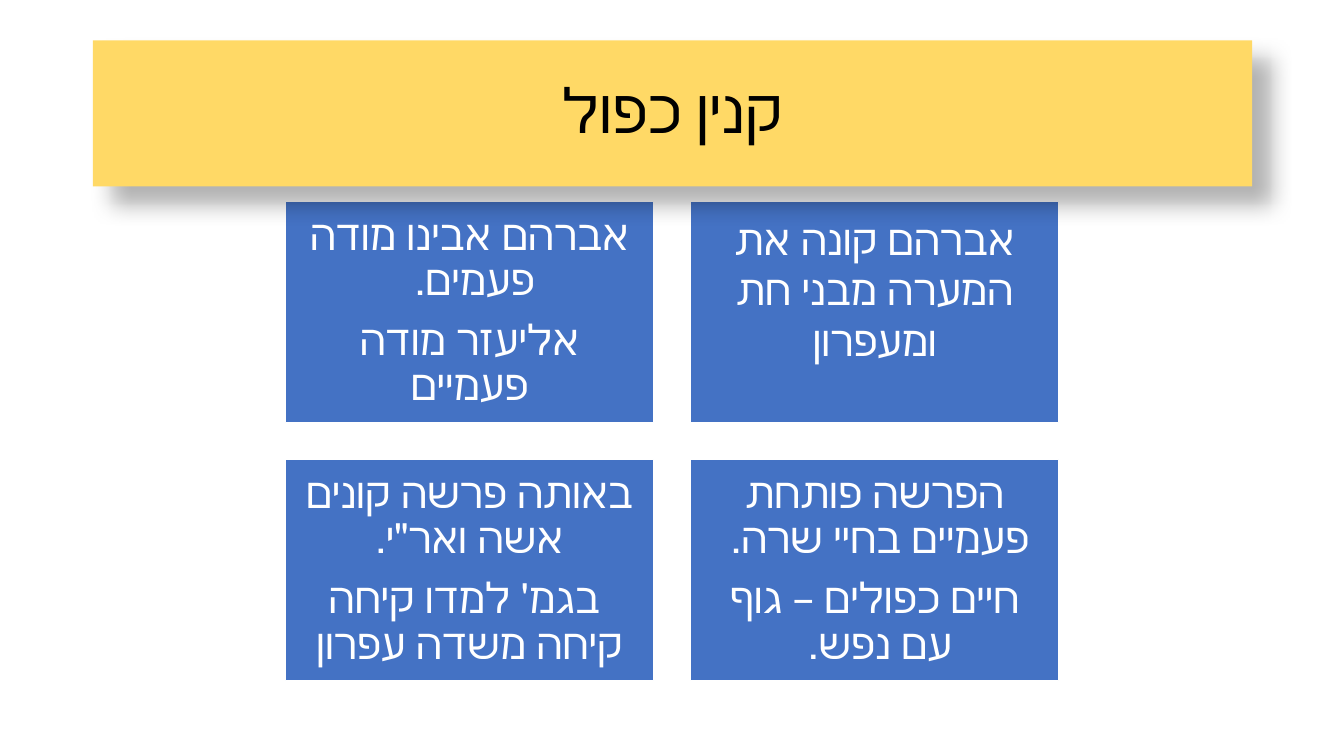
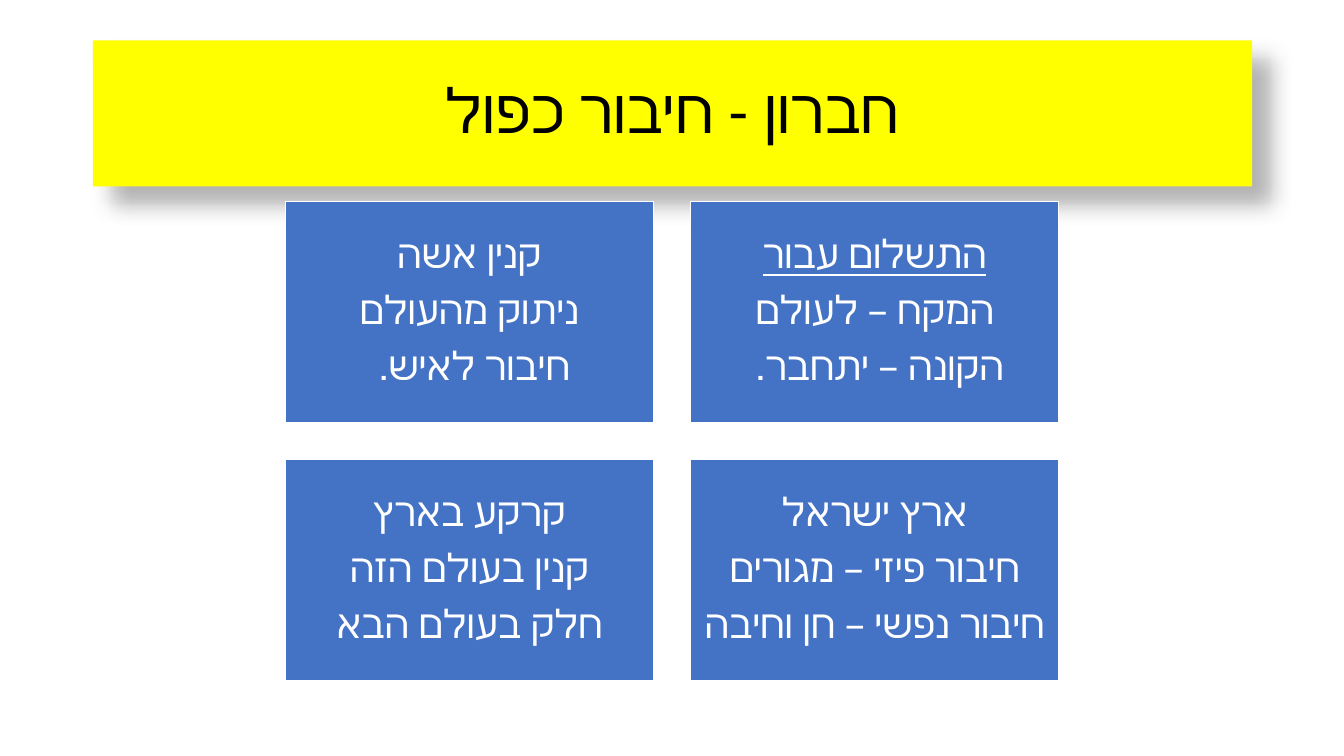
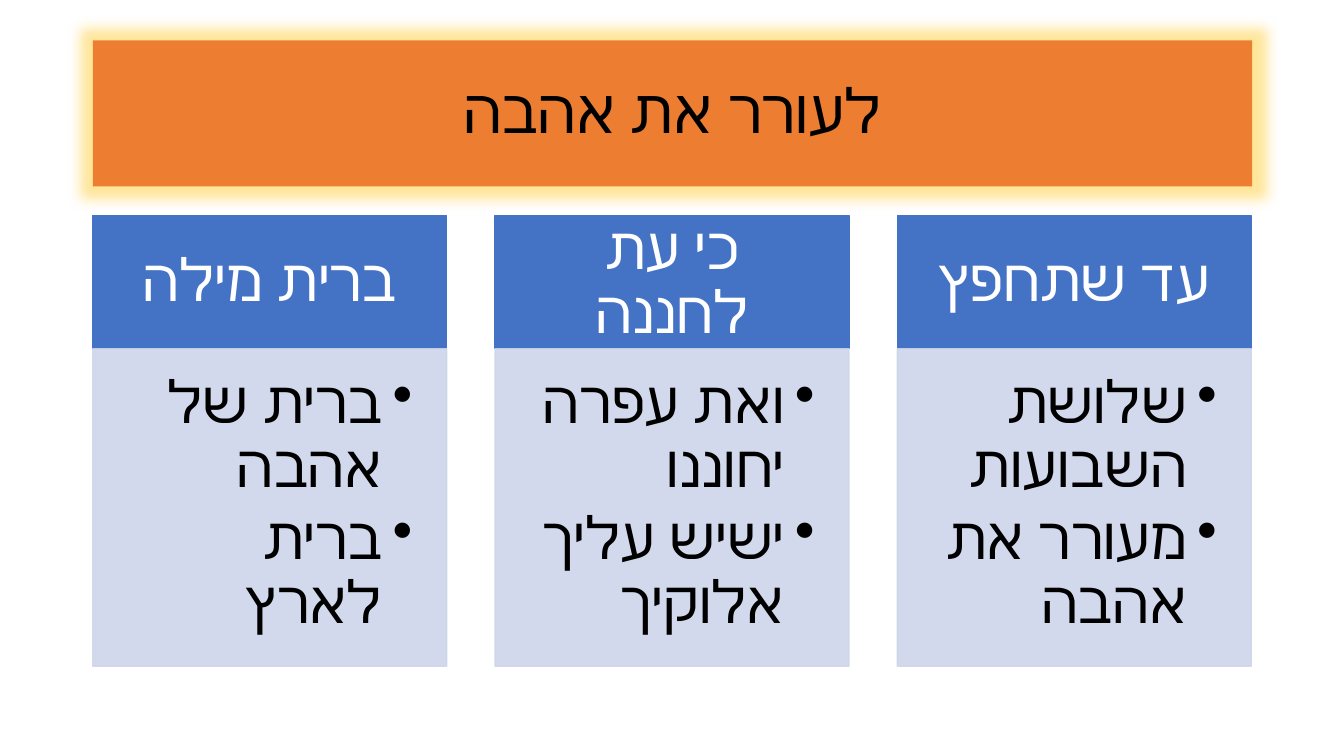
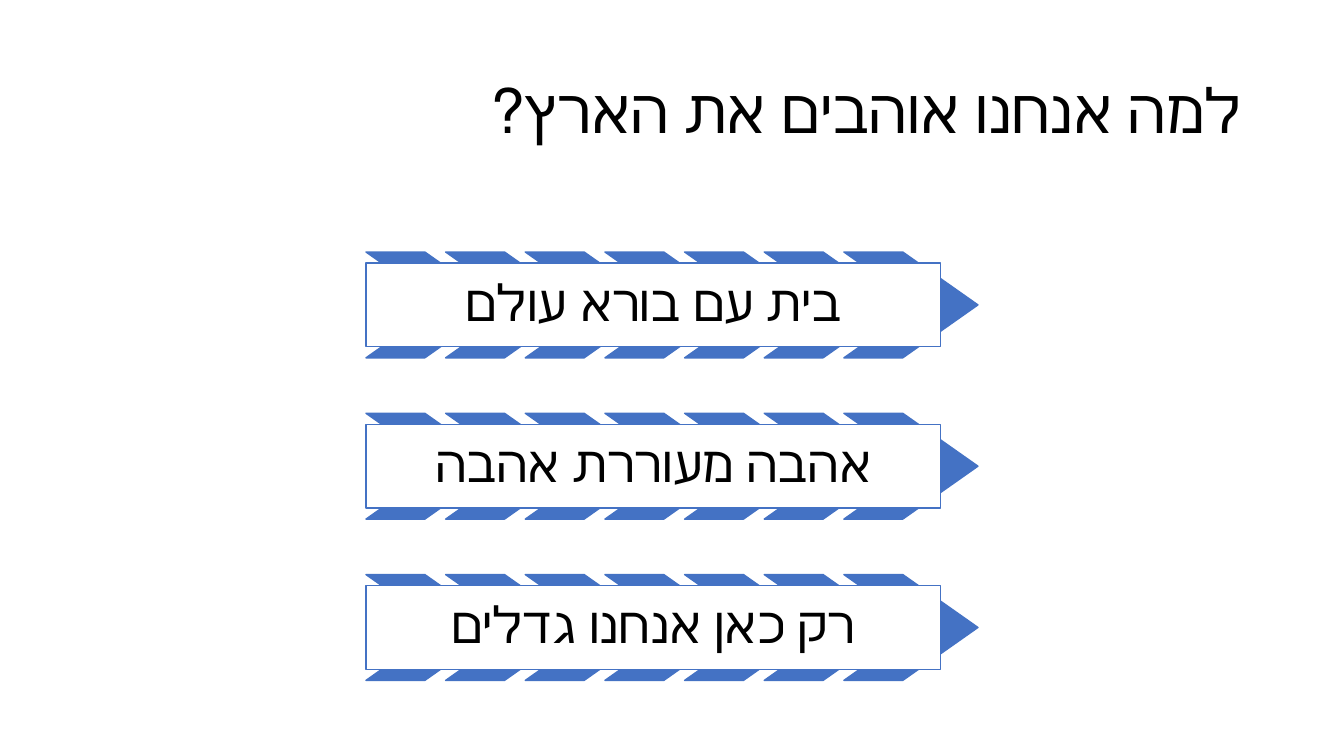
from dataclasses import dataclass
from typing import Optional

from lxml import etree
from pptx import Presentation
from pptx import util as u
from pptx.dml import color
from pptx.enum import shapes, text
from pptx.oxml import ns

FONT = "Calibri"
COLOURS = {
    "black": "000000",
    "white": "FFFFFF",
    "blue": "4472C4",
    "pale": "CFD5EA",
    "gold": "FFD966",
    "yellow": "FFFF00",
    "orange": "ED7D31",
    "glow": "FFC000",
}
CENTER = text.PP_ALIGN.CENTER
RIGHT = text.PP_ALIGN.RIGHT
RECTANGLE = shapes.MSO_SHAPE.RECTANGLE
TITLE_LAYOUT = 5


@dataclass(frozen=True)
class Area:
    left: float
    top: float
    width: float
    height: float


@dataclass(frozen=True)
class Style:
    size: int
    colour: str = "white"
    align: text.PP_ALIGN = CENTER
    anchor: text.MSO_ANCHOR = text.MSO_ANCHOR.MIDDLE
    spacing: float = 0.9
    after: float = 0.35  # share of the text size
    insets: tuple[float, float, float, float] = (0.12, 0.12, 0.12, 0.12)
    bullet: bool = False


@dataclass(frozen=True)
class Card:
    lines: tuple[str, ...]
    style: Style
    underline_first: bool = False


@dataclass(frozen=True)
class Column:
    heading: str
    items: tuple[str, ...]


TITLE_AREA = Area(0.92, 0.4, 11.5, 1.45)
TITLE = Style(44, "black", after=0, insets=(0.1, 0.05, 0.1, 0.05))
PLAIN_TITLE = Style(44, "black", RIGHT, after=0, insets=TITLE.insets)
LARGE = Style(30)
LOOSE = Style(30, spacing=1.0, after=0, insets=(0.12, 0.12, 0.12, 0.58))
MEDIUM = Style(28)
HEADING = Style(42, insets=(0.33, 0.19, 0.33, 0.19))
LIST = Style(42, "black", RIGHT, text.MSO_ANCHOR.TOP, after=0.15,
             insets=(0.24, 0.24, 0.33, 0.37), bullet=True)
BANNER = Style(36, "black", insets=(0.1, 0.1, 0.1, 0.1))

# Cards run left to right, then down.
PURCHASE_CARDS = (
    Card(("אברהם אבינו מודה פעמים. ", "אליעזר מודה פעמיים"), LARGE),
    Card(("אברהם קונה את המערה מבני חת ומעפרון",), LOOSE),
    Card(("באותה פרשה קונים אשה ואר\"י.", " בגמ' למדו קיחה קיחה משדה עפרון"), LARGE),
    Card(("הפרשה פותחת פעמיים בחיי שרה. ", "חיים כפולים – גוף עם נפש. "), LARGE),
)
HEBRON_CARDS = (
    Card(("קנין אשה", "ניתוק מהעולם", "חיבור לאיש. "), MEDIUM),
    Card(("התשלום עבור", "המקח – לעולם", "הקונה – יתחבר. "), MEDIUM, True),
    Card(("קרקע בארץ", "קנין בעולם הזה", "חלק בעולם הבא"), MEDIUM),
    Card(("ארץ ישראל", "חיבור פיזי – מגורים", "חיבור נפשי – חן וחיבה"), MEDIUM),
)
LOVE_COLUMNS = (
    Column("ברית מילה", ("ברית של אהבה", "ברית לארץ")),
    Column("כי עת לחננה", ("ואת עפרה יחוננו", "ישיש עליך אלוקיך")),
    Column("עד שתחפץ", ("שלושת השבועות", "מעורר את אהבה")),
)
REASONS = ("בית עם בורא עולם", "אהבה מעוררת אהבה", "רק כאן אנחנו גדלים")


def rgb(name: str) -> color.RGBColor:
    return color.RGBColor.from_string(COLOURS[name])


def add_xml(parent, tag: str, **attributes):
    return etree.SubElement(parent, ns.qn(tag), attributes)


def write(shape, lines: tuple[str, ...], style: Style, underline_first: bool = False) -> None:
    """Fill a shape with right-to-left paragraphs."""
    frame = shape.text_frame
    frame.word_wrap = True
    frame.auto_size = text.MSO_AUTO_SIZE.NONE
    frame.vertical_anchor = style.anchor
    (frame.margin_left, frame.margin_top,
     frame.margin_right, frame.margin_bottom) = map(u.Inches, style.insets)
    for index, line in enumerate(lines):
        para = frame.add_paragraph() if index else frame.paragraphs[0]
        para.alignment = style.align
        para.line_spacing = style.spacing
        para.space_before = u.Pt(0)
        para.space_after = u.Pt(style.size * style.after)
        properties = para._p.get_or_add_pPr()
        properties.set("rtl", "1")
        if style.bullet:
            properties.set("marL", str(u.Inches(0.31)))
            properties.set("indent", str(-u.Inches(0.31)))
            add_xml(properties, "a:buChar", char="•")
        span = para.add_run()
        span.text = line
        span.font.size = u.Pt(style.size)
        span.font.color.rgb = rgb(style.colour)
        span.font.name = FONT
        if underline_first and index == 0:
            span.font.underline = True


def add_box(page, area: Area, fill: str, line: str, kind=RECTANGLE):
    box = page.shapes.add_shape(kind, u.Inches(area.left), u.Inches(area.top),
                                u.Inches(area.width), u.Inches(area.height))
    box.shadow.inherit = False
    box.fill.solid()
    box.fill.fore_color.rgb = rgb(fill)
    box.line.color.rgb = rgb(line)
    box.line.width = u.Pt(1)
    return box


def add_effect(shape, tag: str, colour: str, alpha: int, **attributes: str) -> None:
    effects = add_xml(shape._element.spPr, "a:effectLst")
    effect = add_xml(effects, tag, **attributes)
    add_xml(add_xml(effect, "a:srgbClr", val=COLOURS[colour]), "a:alpha", val=str(alpha * 1000))


def add_shadow(shape) -> None:
    add_effect(shape, "a:outerShdw", "black", 30, blurRad=str(u.Pt(15)),
               dist=str(u.Pt(18)), dir=str(45 * 60000), algn="tl", rotWithShape="0")


def add_page(deck, title_text: str, fill: Optional[str] = None, style: Style = TITLE):
    page = deck.slides.add_slide(deck.slide_layouts[TITLE_LAYOUT])
    title = page.shapes.title
    title.left, title.top = u.Inches(TITLE_AREA.left), u.Inches(TITLE_AREA.top)
    title.width, title.height = u.Inches(TITLE_AREA.width), u.Inches(TITLE_AREA.height)
    if fill:
        title.fill.solid()
        title.fill.fore_color.rgb = rgb(fill)
    write(title, (title_text,), style)
    return page


def add_card_grid(page, cards: tuple[Card, ...]) -> None:
    for index, card in enumerate(cards):
        row, column = divmod(index, 2)
        area = Area(2.83 + 4.02 * column, 2 + 2.56 * row, 3.65, 2.19)
        box = add_box(page, area, "blue", "white")
        write(box, card.lines, card.style, card.underline_first)


def add_columns(page, columns: tuple[Column, ...]) -> None:
    for index, column in enumerate(columns):
        left = TITLE_AREA.left + 3.99 * index
        heading = add_box(page, Area(left, 2.14, 3.51, 1.32), "blue", "blue")
        write(heading, (column.heading,), HEADING)
        panel = add_box(page, Area(left, 3.46, 3.51, 3.15), "pale", "pale")
        for shade in panel._element.spPr.iter(ns.qn("a:srgbClr")):
            add_xml(shade, "a:alpha", val="90000")
        write(panel, column.items, LIST)


def add_arrow_banner(page, top: float, line: str) -> None:
    """Draw a row of chevrons with a white label over its middle."""
    left = 3.63
    for index in range(7):
        area = Area(left + 0.79 * index, top, 1.33, 1.05)
        chevron = add_box(page, area, "blue", "blue", shapes.MSO_SHAPE.CHEVRON)
        chevron.adjustments[0] = 0.71
    label = add_box(page, Area(left, top + 0.11, 5.7, 0.83), "white", "blue")
    write(label, (line,), BANNER)


def main() -> None:
    deck = Presentation()
    deck.slide_width, deck.slide_height = u.Inches(13.33), u.Inches(7.5)

    purchase = add_page(deck, "קנין כפול", "gold")
    add_shadow(purchase.shapes.title)
    add_card_grid(purchase, PURCHASE_CARDS)
    # The title's shadow falls over the cards.
    purchase.shapes._spTree.append(purchase.shapes.title._element)

    hebron = add_page(deck, "חברון - חיבור כפול", "yellow")
    add_shadow(hebron.shapes.title)
    add_card_grid(hebron, HEBRON_CARDS)

    love = add_page(deck, "לעורר את אהבה", "orange")
    add_effect(love.shapes.title, "a:glow", "glow", 40, rad=str(u.Pt(18)))
    add_columns(love, LOVE_COLUMNS)

    reasons = add_page(deck, "למה אנחנו אוהבים את הארץ?", style=PLAIN_TITLE)
    for index, line in enumerate(REASONS):
        add_arrow_banner(reasons, 2.5 + 1.6 * index, line)

    deck.save("out.pptx")


if __name__ == "__main__":
    main()
